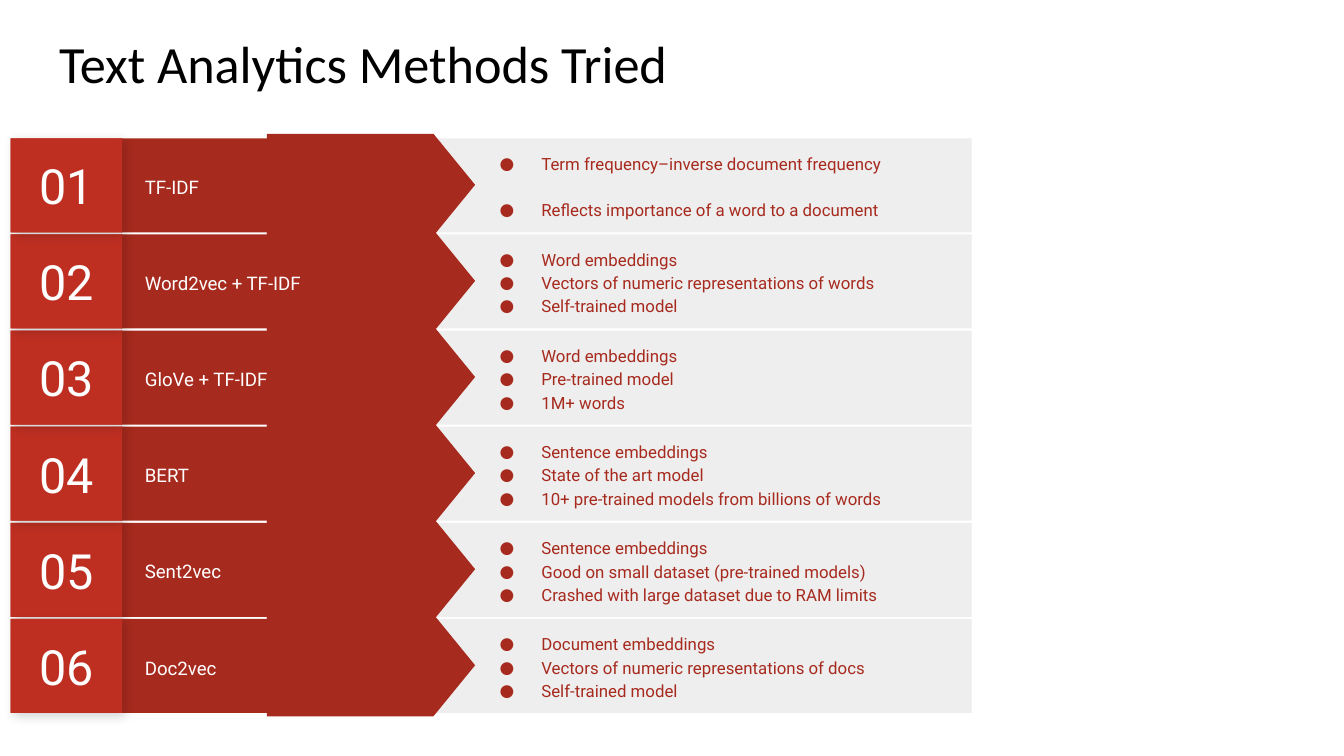
from lxml import etree
from pptx import Presentation
from pptx import util as u
from pptx.dml.color import RGBColor
from pptx.enum import shapes, text
from pptx.oxml.ns import qn

Inches, Pt = u.Inches, u.Pt
RED = RGBColor(0xBE, 0x2F, 0x22)
MID_RED = RGBColor(0xB0, 0x2C, 0x20)
DARK_RED = RGBColor(0xA7, 0x2A, 0x1E)
GREY = RGBColor(0xEE, 0xEE, 0xEE)
WHITE = RGBColor(0xFF, 0xFF, 0xFF)
BLACK = RGBColor(0, 0, 0)

METHODS = [
    ("TF-IDF", ["Term frequency–inverse document frequency",
                "Reflects importance of a word to a document"]),
    ("Word2vec + TF-IDF", ["Word embeddings",
                           "Vectors of numeric representations of words",
                           "Self-trained model"]),
    ("GloVe + TF-IDF", ["Word embeddings", "Pre-trained model", "1M+ words"]),
    ("BERT", ["Sentence embeddings", "State of the art model",
              "10+ pre-trained models from billions of words"]),
    ("Sent2vec", ["Sentence embeddings",
                  "Good on small dataset (pre-trained models)",
                  "Crashed with large dataset due to RAM limits"]),
    ("Doc2vec", ["Document embeddings",
                 "Vectors of numeric representations of docs",
                 "Self-trained model"]),
]
TOP, ROW_H = 1.03, 0.7
PITCH = (3.89 - TOP) / 4


def add_block(kind, x, y, w, h, color):
    sp = s.shapes.add_shape(kind, Inches(x), Inches(y), Inches(w), Inches(h))
    sp.shadow.inherit = False
    sp.fill.solid()
    sp.fill.fore_color.rgb = color
    sp.line.fill.background()
    return sp


def write(sp, lines, size, color, align=text.PP_ALIGN.LEFT, spacing=1.15):
    tf = sp.text_frame
    tf.word_wrap = True
    tf.vertical_anchor = text.MSO_ANCHOR.MIDDLE
    tf.margin_left = tf.margin_right = Inches(0.1)
    tf.margin_top = tf.margin_bottom = Inches(0.1)
    for n, line in enumerate(lines):
        p = tf.add_paragraph() if n else tf.paragraphs[0]
        p.alignment = align
        p.line_spacing = spacing
        r = p.add_run()
        r.text = line
        r.font.size = Pt(size)
        r.font.name = "Roboto"
        r.font.color.rgb = color
    return tf


prs = Presentation()
prs.slide_width = Inches(10)
prs.slide_height = Inches(10) * 9 // 16
s = prs.slides.add_slide(prs.slide_layouts[5])

title = s.shapes.title
title.left, title.top = Inches(0.34), Inches(0.15)
title.width, title.height = Inches(9.32), Inches(0.63)
tf = title.text_frame
tf.vertical_anchor = text.MSO_ANCHOR.MIDDLE
p = tf.paragraphs[0]
p.alignment = text.PP_ALIGN.LEFT
r = p.add_run()
r.text = "Text Analytics Methods Tried"
r.font.size = Pt(28)
r.font.name = "Calibri"
r.font.color.rgb = BLACK

RECT = shapes.MSO_SHAPE.RECTANGLE
for i in (4, 3, 2, 1, 0, 5):
    name, points = METHODS[i]
    y = TOP + i * PITCH
    add_block(RECT, 2.64, y, 4.59, ROW_H, GREY)
    add_block(RECT, 0.9, y, 2.22, ROW_H, DARK_RED)
    arrow = add_block(shapes.MSO_SHAPE.FLOWCHART_OFFPAGE_CONNECTOR,
                      2.38, y - 0.43, 0.76, 1.55, DARK_RED)
    arrow.rotation = 270

    label = s.shapes.add_textbox(Inches(0.98), Inches(y + 0.08),
                                 Inches(2.33), Inches(0.54))
    write(label, [name], 10, WHITE)

    base = add_block(RECT, 0.08, y, 0.83, ROW_H, MID_RED)
    effects = base._element.spPr.find(qn("a:effectLst"))
    shadow = etree.SubElement(effects, qn("a:outerShdw"), blurRad=str(Pt(5.6)),
                              dist=str(Pt(2.2)), dir="2700000", rotWithShape="0")
    tint = etree.SubElement(shadow, qn("a:srgbClr"), val="000000")
    etree.SubElement(tint, qn("a:alpha"), val="17000")

    number = add_block(RECT, 0.08, y, 0.83, ROW_H, RED)
    write(number, [f"{i + 1:02d}"], 26, WHITE, text.PP_ALIGN.CENTER, 1.0)

    details = s.shapes.add_textbox(Inches(3.43), Inches(y),
                                   Inches(3.57), Inches(ROW_H))
    tf = write(details, points, 9, DARK_RED)
    for p in tf.paragraphs:
        pPr = p._p.get_or_add_pPr()
        pPr.set("marL", str(Inches(0.5)))
        pPr.set("indent", str(Inches(-0.31)))
        color = etree.SubElement(pPr, qn("a:buClr"))
        etree.SubElement(color, qn("a:srgbClr"), val=str(DARK_RED))
        etree.SubElement(pPr, qn("a:buSzPts"), val="900")
        etree.SubElement(pPr, qn("a:buFont"), typeface="Roboto")
        etree.SubElement(pPr, qn("a:buChar"), char="●")
    if len(points) == 2:
        tf.paragraphs[1].space_before = Pt(12.4)

prs.save("out.pptx")
